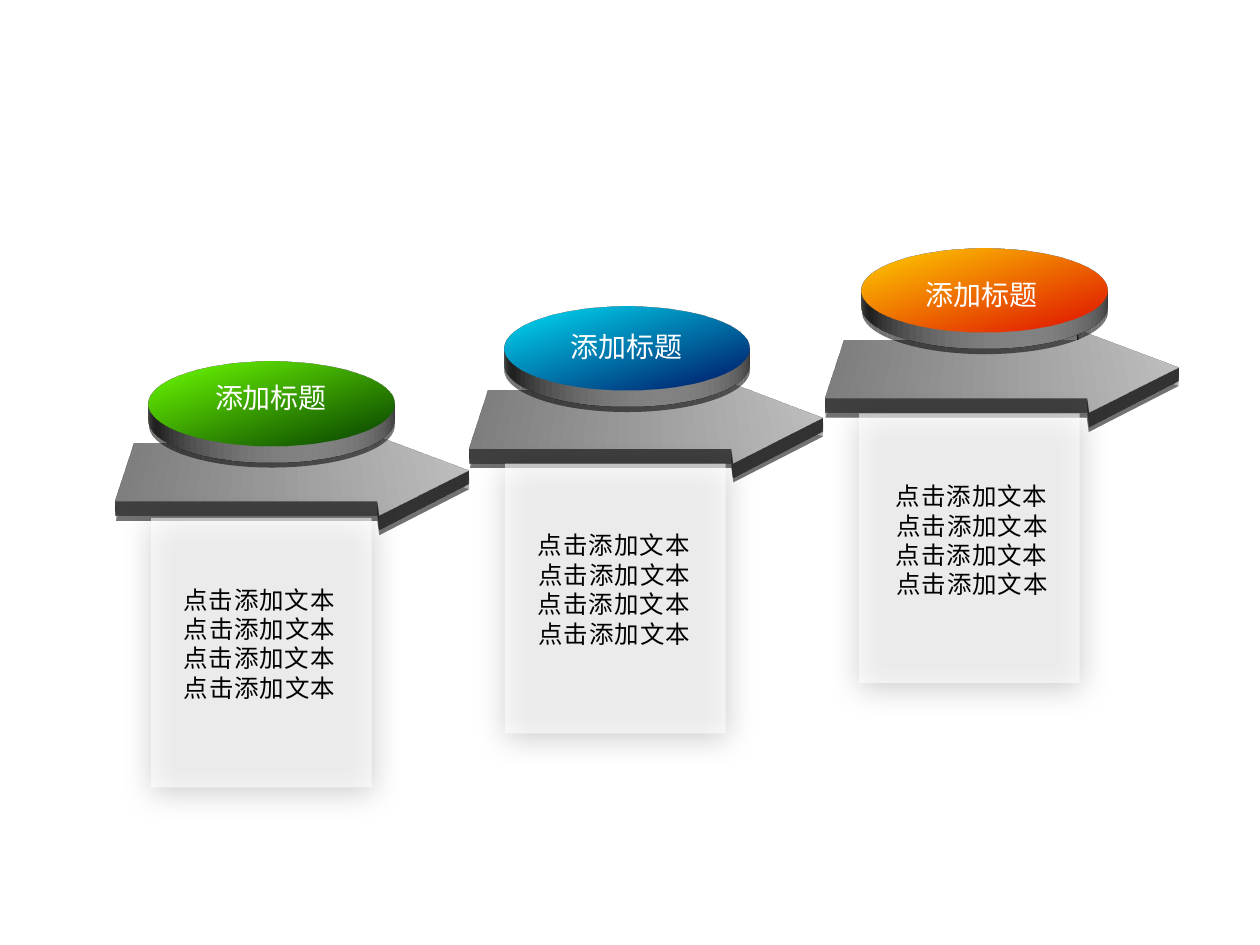
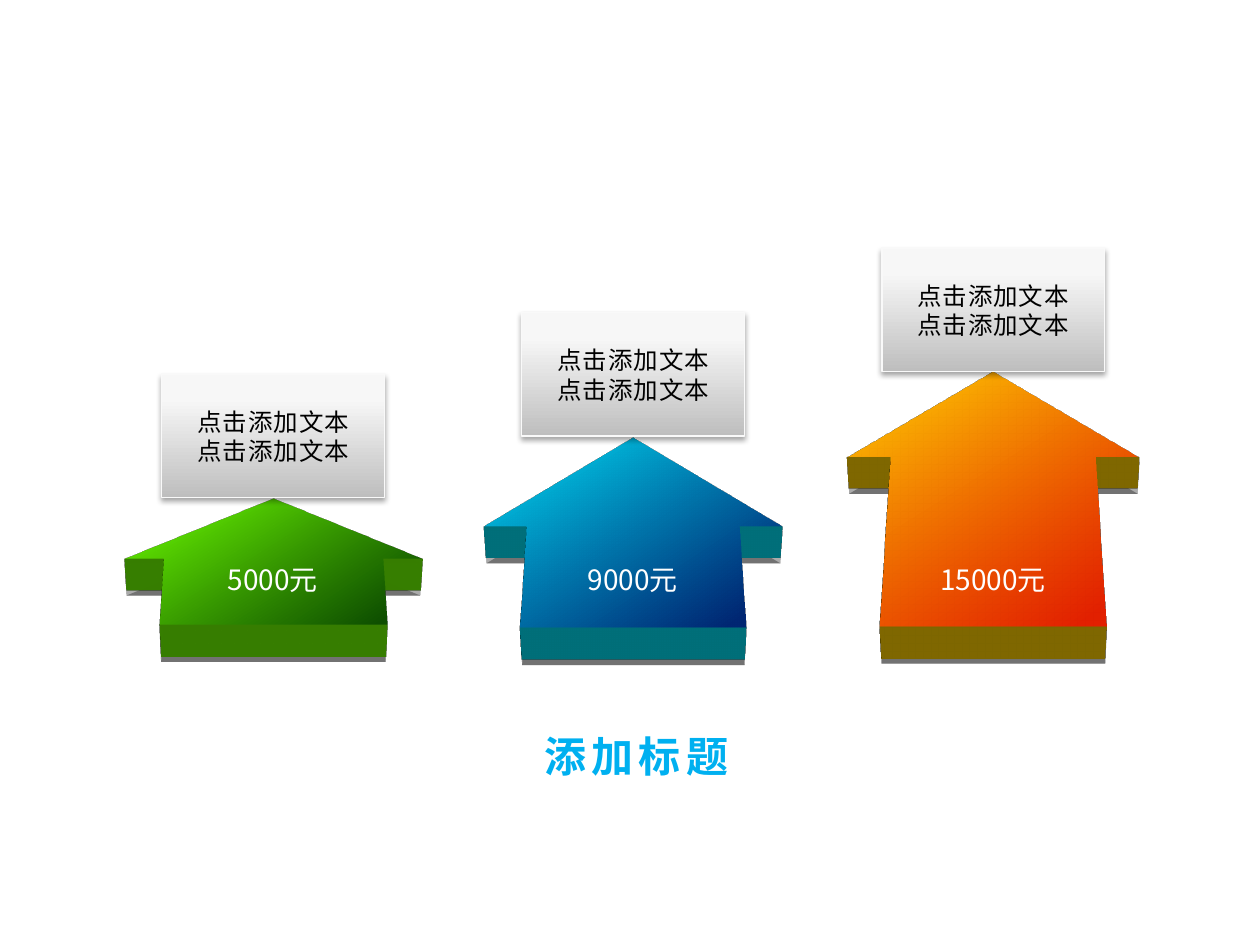
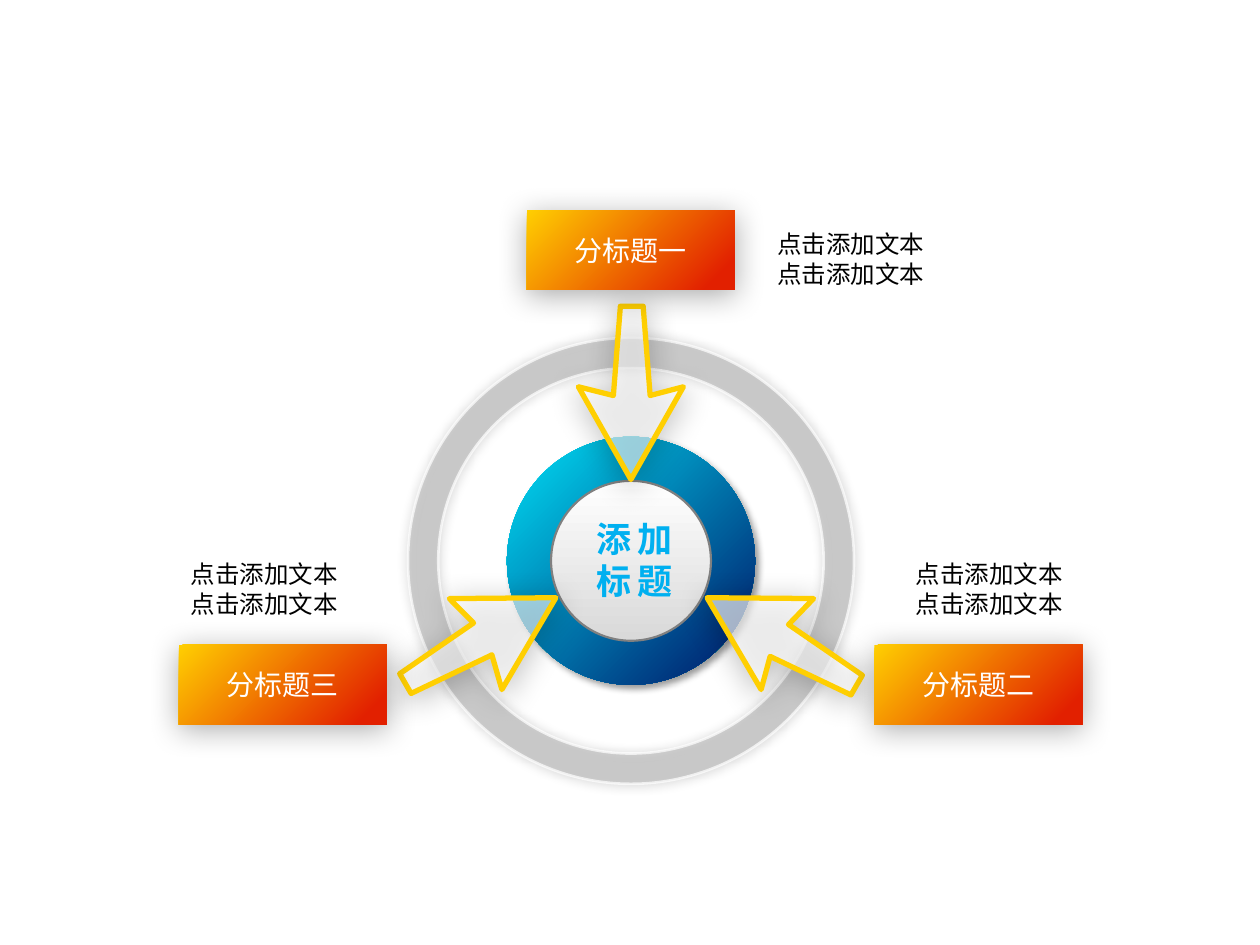
from dataclasses import dataclass

from lxml.etree import SubElement
from pptx import Presentation
from pptx.dml.color import RGBColor
from pptx.enum.shapes import MSO_SHAPE
from pptx.enum.text import MSO_ANCHOR, PP_ALIGN
from pptx.oxml.ns import qn
from pptx.util import Pt


@dataclass(frozen=True)
class Theme:
    font: str = "Noto Sans CJK SC"
    body: int = 14
    label: int = 16
    core: int = 20
    title: int = 24
    lead: float = 1.2
    white: str = "FFFFFF"
    black: str = "000000"
    gold: str = "FFCF01"
    gray: str = "808080"
    ring: str = "A6A6A6"
    edge: str = "F9F9F9"
    glow: str = "FFF5F5"
    # first colour, last colour, angle, start, end
    green: tuple = ("6EFF01", "0F5000", 45, 0, 90)
    blue: tuple = ("00DFF6", "002774", 45, 0, 90)
    fire: tuple = ("FFCF01", "E22000", 45, 0, 90)
    steel: tuple = ("808080", "BFBFBF", 0, 0, 100)
    plate: tuple = ("BEBEBE", "F7F7F7", 270, 0, 80)
    pearl: tuple = ("FFFFFF", "D9D9D9", 90, 0, 100)
    ink: tuple = ("00B0F0", "002774", 90, 10, 75)
    # opacity, blur, distance, angle
    soft: tuple = (33, 17.8, 3, 87)
    close: tuple = (35, 3.1, 1.8, 90)
    halo: tuple = (30, 6, 0, 45)
    disc: tuple = (40, 4, 3, 45)


T = Theme()
HEAD = "添加标题"
LINE = "点击添加文本"

# Slide 1: hue, then corners of arrow, disc, title, card and text
STEPS = [
    (T.fire, (477.4, 118.8), (492.5, 95.8), (491.8, 154.8), (491, 236.2), (499.7, 271.4)),
    (T.blue, (274.3, 147.6), (288, 128.9), (288.7, 185), (288.7, 265), (295.2, 299.5)),
    (T.green, (72, 177.8), (85, 160.6), (85.7, 213.8), (86.4, 295.9), (92.5, 330.5)),
]

# Slide 2: hue, arrow top, height, shaft, amount, its left and width, card corner
PRICES = [
    (T.green, 262.8, 113, 0.735, "5000元", 103, 105.8, (92.2, 213.8)),
    (T.blue, 216, 169.9, 0.713, "9000元", 311.8, 99.4, (298.1, 178.6)),
    (T.fire, 165.6, 226.8, 0.702, "15000元", 522.7, 89.3, (504, 141.8)),
]

# Slide 3: name, box corner, text corner, dart corner, turn, opacity
PARTS = [
    ("分标题一", (301, 120.2), (437, 127.4), (330.5, 175), 180, 60),
    ("分标题二", (499.7, 368.6), (516.2, 316.1), (416.9, 316.8), 300, 65),
    ("分标题三", (102.2, 368.6), (101.9, 316.1), (244.8, 316.8), 60, 60),
]
HUB = (360.6, 320.5)
DART = [(29.9, 0), (59.8, 53.3), (40.3, 47.5), (36, 99.4),
        (23, 99.4), (19.4, 47.5), (0, 53.3)]


def shift(fill, look):
    """Turn a fill into the gradient of a look tuple."""
    first, last, angle, start, end = look
    fill.gradient()
    fill.gradient_angle = (360 - angle) % 360
    for stop, tone, pos in zip(fill.gradient_stops, (first, last), (start, end)):
        stop.color.rgb = RGBColor.from_string(tone)
        stop.position = pos / 100


def fade(holder, alpha):
    tone = holder.find(qn("a:solidFill")).find(qn("a:srgbClr"))
    SubElement(tone, qn("a:alpha"), val=str(alpha * 1000))


def paint(shape, look, alpha=None, line=None, shade=None):
    """Fill with a colour or gradient tuple; line is (colour, width)."""
    if isinstance(look, tuple):
        shift(shape.fill, look)
    else:
        shape.fill.solid()
        shape.fill.fore_color.rgb = RGBColor.from_string(look)
    props = shape._element.spPr
    if alpha:
        fade(props, alpha)
    if line:
        shape.line.color.rgb = RGBColor.from_string(line[0])
        shape.line.width = Pt(line[1])
    else:
        shape.line.fill.background()
    shape.shadow.inherit = False
    if shade:
        depth, blur, dist, angle = shade
        cast = SubElement(
            props.find(qn("a:effectLst")), qn("a:outerShdw"), blurRad=str(Pt(blur)),
            dist=str(Pt(dist)), dir=str(angle * 60000), algn="ctr", rotWithShape="0")
        tone = SubElement(cast, qn("a:srgbClr"), val=T.black)
        SubElement(tone, qn("a:alpha"), val=str(depth * 1000))
    return shape


def block(slide, kind, x, y, w, h, *look, **more):
    shape = slide.shapes.add_shape(kind, Pt(x), Pt(y), Pt(w), Pt(h))
    return paint(shape, *look, **more)


def solid(shape, view, depth, tilt=None, wall=None):
    """Give a shape depth, seen through a preset camera."""
    props = shape._element.spPr
    scene = SubElement(props, qn("a:scene3d"))
    camera = SubElement(scene, qn("a:camera"), prst=view)
    if tilt:
        SubElement(camera, qn("a:rot"), lat=str(tilt * 60000), lon="0", rev="0")
    SubElement(scene, qn("a:lightRig"), rig="threePt", dir="t")
    body = SubElement(props, qn("a:sp3d"), extrusionH=str(Pt(depth)))
    if wall:
        tone = SubElement(body, qn("a:extrusionClr"))
        SubElement(tone, qn("a:srgbClr"), val=wall)


def write(shape, lines, size, tone, align=PP_ALIGN.CENTER, space=0):
    frame = shape.text_frame
    frame.word_wrap = True
    for i, words in enumerate(lines):
        para = frame.paragraphs[0] if i == 0 else frame.add_paragraph()
        para.alignment = align
        para.line_spacing = Pt(size * T.lead)
        run = para.add_run()
        run.text = words
        font = run.font
        font.size = Pt(size)
        props = run._r.get_or_add_rPr()
        if isinstance(tone, tuple):
            font.bold = True
            rule = SubElement(props, qn("a:ln"), w=str(Pt(1)))
            SubElement(SubElement(rule, qn("a:solidFill")), qn("a:srgbClr"), val=T.glow)
            shift(font.fill, tone)
        else:
            font.color.rgb = RGBColor.from_string(tone)
        font.name = T.font
        SubElement(props, qn("a:ea"), typeface=T.font)
        if space:
            props.set("spc", str(int(space * 100)))


def note(slide, x, y, w, h, lines, *style, **more):
    box = slide.shapes.add_textbox(Pt(x), Pt(y), Pt(w), Pt(h))
    write(box, lines, *style, **more)


def stairs(slide):
    for hue, arrow, disc, head, card, body in STEPS:
        base = block(slide, MSO_SHAPE.LEFT_ARROW, *arrow, 195.8, 182.2, T.steel, shade=T.soft)
        base.adjustments[0], base.adjustments[1] = 0.704, 0.301
        base._element.spPr.find(qn("a:xfrm")).set("flipH", "1")
        solid(base, "perspectiveRelaxed", 8, tilt=285)
        coin = block(slide, MSO_SHAPE.OVAL, *disc, 140.4, 140.4, hue, shade=T.soft)
        solid(coin, "orthographicFront", 10, tilt=290, wall=T.white)
        note(slide, *head, 138.2, 26.6, [HEAD], T.label, T.white)
        block(slide, MSO_SHAPE.RECTANGLE, *card, 126, 154.1, T.white, 60, shade=T.soft)
        note(slide, *body, 111.6, 74.9, [LINE * 2] * 2, T.body, T.black, space=0.5)


def prices(slide):
    for i, (hue, top, high, shaft, cost, left, wide, card) in enumerate(PRICES):
        mid = 156.1 + 205.7 * i
        arrow = block(slide, MSO_SHAPE.UP_ARROW, mid - 85, top, 170, high, hue, shade=T.soft)
        arrow.adjustments[0], arrow.adjustments[1] = shaft, 0.497
        solid(arrow, "perspectiveRelaxed", 24, wall=hue[0])
        note(slide, left, 318.2, wide, 26.6, [cost], T.label, T.white)
        block(slide, MSO_SHAPE.RECTANGLE, *card, 127.4, 70.6, T.plate,
              line=(T.edge, 0.75), shade=T.close)
        note(slide, mid - 60, card[1] + 15.1, 120, 41, [LINE] * 2, T.body, T.black, space=0.5)
    note(slide, 125.3, 414, 476.6, 36, [HEAD], T.title, T.ink, space=3)


def disc(slide, kind, size, *look, **more):
    return block(slide, kind, HUB[0] - size / 2, HUB[1] - size / 2, size, size, *look, **more)


def wheel(slide):
    ring = disc(slide, MSO_SHAPE.DONUT, 254.9, T.ring, 40, (T.white, 1.5), T.halo)
    ring.adjustments[0] = 0.068
    fade(ring._element.spPr.find(qn("a:ln")), 70)
    disc(slide, MSO_SHAPE.OVAL, 141.8, T.blue, shade=T.disc)
    disc(slide, MSO_SHAPE.OVAL, 91.4, T.pearl, line=(T.gray, 1.25))
    for name, corner, body, spot, turn, alpha in PARTS:
        pen = slide.shapes.build_freeform(*DART[0], scale=float(Pt(1)))
        pen.add_line_segments(DART[1:], close=True)
        dart = pen.convert_to_shape(Pt(spot[0]), Pt(spot[1]))
        dart.rotation = turn
        paint(dart, T.white, alpha, (T.gold, 3), T.soft)
        box = block(slide, MSO_SHAPE.RECTANGLE, *corner, 118.8, 45.4, T.fire, shade=T.soft)
        box.text_frame.vertical_anchor = MSO_ANCHOR.MIDDLE
        write(box, [name], T.label, T.white)
        note(slide, *body, 123.1, 41, [LINE] * 2, T.body, T.black, align=PP_ALIGN.LEFT)
    note(slide, 316.1, 292.3, 92.9, 55.4, ["添加", "标题"], T.core, T.ink, space=3)


def main():
    deck = Presentation()
    deck.slide_width, deck.slide_height = Pt(720), Pt(540)
    for draw in (stairs, prices, wheel):
        draw(deck.slides.add_slide(deck.slide_layouts[6]))
    deck.save("out.pptx")


if __name__ == "__main__":
    main()
